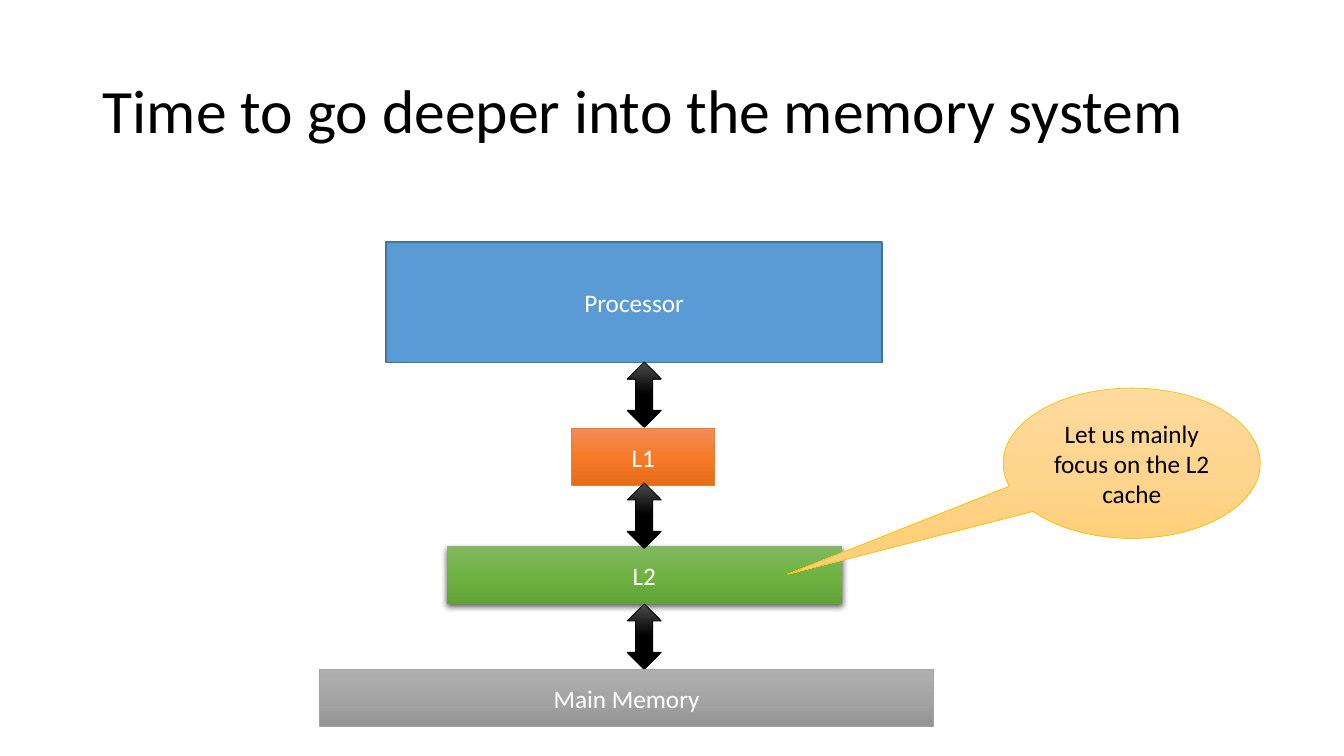
from copy import deepcopy

from lxml.etree import SubElement
from pptx import Presentation
from pptx.dml.color import RGBColor
from pptx.enum.shapes import MSO_SHAPE
from pptx.enum.text import MSO_ANCHOR, PP_ALIGN
from pptx.oxml.ns import qn
from pptx.util import Pt

PX = 9144


def write(holder, text, size=18, color="FFFFFF", align=PP_ALIGN.CENTER, spacing=None):
    frame = holder.text_frame
    frame.word_wrap = True
    frame.vertical_anchor = MSO_ANCHOR.MIDDLE
    paragraph = frame.paragraphs[0]
    paragraph.text = text
    paragraph.alignment = align
    paragraph.line_spacing = spacing
    paragraph.font.name = "Calibri"
    paragraph.font.size = Pt(size)
    paragraph.font.color.rgb = RGBColor.from_string(color)


def draw(preset, box, colors, outline=None, weight=0.5):
    shape = slide.shapes.add_shape(preset, *[n * PX for n in box])
    shape.shadow.inherit = False
    if len(colors) == 1:
        shape.fill.solid()
        shape.fill.fore_color.rgb = RGBColor.from_string(colors[0])
    else:
        shape.fill.gradient()
        shape.fill.gradient_angle = 270
        stop_list = shape._element.spPr.find(".//" + qn("a:gsLst"))
        stop_list.insert(1, deepcopy(stop_list[0]))
        for stop, position, color in zip(shape.fill.gradient_stops, (0, 0.5, 1), colors):
            stop.position = position
            stop.color.rgb = RGBColor.from_string(color)
    if outline:
        shape.line.color.rgb = RGBColor.from_string(outline)
        shape.line.width = Pt(weight)
    else:
        shape.line.fill.background()
    return shape


presentation = Presentation()
presentation.slide_width = 1333 * PX
presentation.slide_height = 750 * PX
slide = presentation.slides.add_slide(presentation.slide_layouts[5])

title = slide.shapes.title
title.left, title.top, title.width, title.height = [n * PX for n in (92, 40, 1150, 145)]
write(title, "Time to go deeper into the memory system",
      size=44, color="000000", align=PP_ALIGN.LEFT, spacing=0.9)

processor = draw(MSO_SHAPE.RECTANGLE, (383, 240, 492, 120), ["5B9BD5"], "43739E", 1)
write(processor, "Processor")

l1 = draw(MSO_SHAPE.RECTANGLE, (567, 425, 142, 57), ["F18C57", "F67B28", "E56C19"], "ED7D31")
write(l1, "L1")

l2 = draw(MSO_SHAPE.RECTANGLE, (443, 542, 392, 57), ["81B861", "6FB242", "62A336"])
write(l2, "L2")
effects = l2._element.spPr.find(qn("a:effectLst"))
shadow = SubElement(effects, qn("a:outerShdw"), blurRad="57150", dist="19050",
                    dir="5400000", algn="ctr", rotWithShape="0")
shadow_color = SubElement(shadow, qn("a:srgbClr"), val="000000")
SubElement(shadow_color, qn("a:alpha"), val="63000")

for level in range(3):
    draw(MSO_SHAPE.UP_DOWN_ARROW, (622, 359 + 120 * level, 34, 65),
         ["4B4B4B", "000000", "000000"], "000000")

main_memory = draw(MSO_SHAPE.RECTANGLE, (317, 664, 609, 57),
                   ["AFAFAF", "A5A5A5", "939393"], "A5A5A5")
write(main_memory, "Main Memory")

focus = draw(MSO_SHAPE.OVAL_CALLOUT, (995, 385, 255, 149),
             ["FFDB9E", "FFD590", "FFD07C"], "FFC000")
focus.adjustments[0] = -1.34
focus.adjustments[1] = 0.74
write(focus, "Let us mainly focus on the L2 cache", color="000000")

presentation.save("out.pptx")
